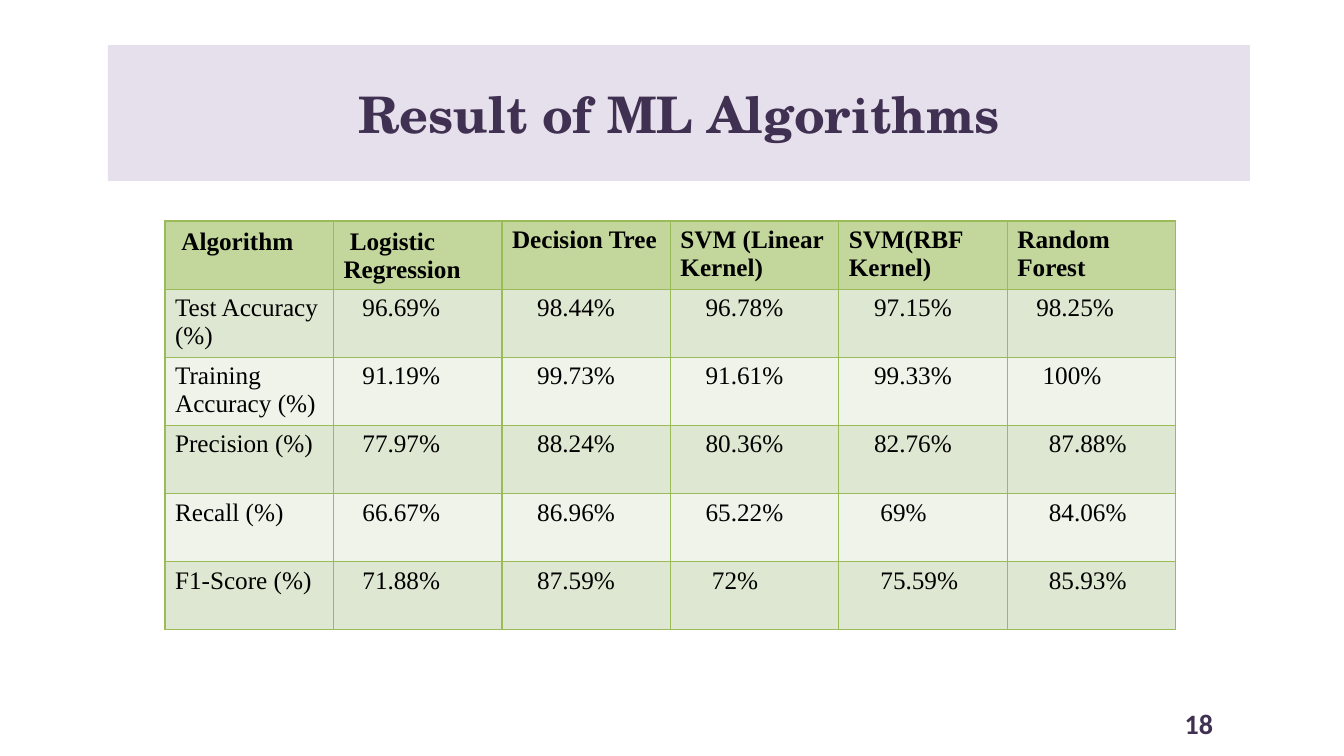
from dataclasses import dataclass
from lxml.etree import SubElement
from pptx import Presentation
from pptx.dml.color import RGBColor as Rgb
from pptx.enum.shapes import MSO_SHAPE as Kind
from pptx.enum.text import MSO_ANCHOR as Anchor, PP_ALIGN as Align
from pptx.oxml.ns import qn
from pptx.util import Pt

PX = 914400 / 100.8


@dataclass
class Theme:
    ink: str = "403152"
    text: str = "000000"
    band: str = "E6E0EC"
    head: str = "C3D69B"
    odd: str = "DEE7D1"
    even: str = "EFF3EA"
    line: str = "9BBB59"
    big: int = 36
    page: int = 20
    body: int = 18


theme = Theme()
TITLE = dict(name="TeX Gyre Schola", size=Pt(theme.big), bold=True)
PAGE = dict(name="Calibri", size=Pt(theme.page), bold=True)
HEAD = dict(name="Times New Roman", size=Pt(theme.body), bold=True)
BODY = HEAD | dict(bold=False)


def px(*sizes):
    return [round(size * PX) for size in sizes]


def write(frame, text, style, color, align=Align.LEFT):
    """Put one styled line of text in a frame and return its paragraph."""
    frame.word_wrap = True
    para = frame.paragraphs[0]
    para.alignment = align
    run = para.add_run()
    run.text = text
    for key, value in style.items():
        setattr(run.font, key, value)
    run.font.color.rgb = Rgb.from_string(color)
    return para


deck = Presentation()
deck.slide_width, deck.slide_height = px(1344, 756)
slide = deck.slides.add_slide(deck.slide_layouts[6])
shapes = slide.shapes

# Title band
band = shapes.add_shape(Kind.RECTANGLE, *px(108, 45, 1142, 136))
band.shadow.inherit = False
band.fill.solid()
band.fill.fore_color.rgb = Rgb.from_string(theme.band)
band.line.fill.background()
band.text_frame.vertical_anchor = Anchor.MIDDLE
write(band.text_frame, "Result of ML Algorithms", TITLE, theme.ink, Align.CENTER)

# Results: each value comes with its indent in steps of one space width
STEP = 6.3
heads = ["Algorithm", "Logistic Regression", "Decision Tree",
         "SVM (Linear Kernel)", "SVM(RBF Kernel)", "Random Forest"]
scores = [
    ("Test Accuracy (%)", ["96.69%", "98.44%", "96.78%", "97.15%", "98.25%"], [3, 4, 4, 4, 3]),
    ("Training Accuracy (%)", ["91.19%", "99.73%", "91.61%", "99.33%", "100%"], [3, 4, 4, 4, 4]),
    ("Precision (%)", ["77.97%", "88.24%", "80.36%", "82.76%", "87.88%"], [3, 4, 4, 4, 5]),
    ("Recall (%)", ["66.67%", "86.96%", "65.22%", "69%", "84.06%"], [3, 4, 4, 5, 5]),
    ("F1-Score (%)", ["71.88%", "87.59%", "72%", "75.59%", "85.93%"], [3, 4, 5, 5, 5]),
]
rows = [(heads, [1, 1, 0, 0, 0, 0])]
rows += [([name, *values], [0, *steps]) for name, values, steps in scores]

grid = shapes.add_table(len(rows), len(heads), *px(165, 221, 1011, 409)).table
grid.first_row = grid.horz_banding = False

for r, (texts, steps) in enumerate(rows):
    fill = theme.odd if r % 2 else theme.even
    style = BODY
    if r == 0:
        fill, style = theme.head, HEAD
    for c, (text, step) in enumerate(zip(texts, steps)):
        cell = grid.cell(r, c)
        props = cell._tc.get_or_add_tcPr()
        for side in ("lnL", "lnR", "lnT", "lnB"):
            edge = SubElement(props, qn(f"a:{side}"), w=str(Pt(1)))
            paint = SubElement(edge, qn("a:solidFill"))
            SubElement(paint, qn("a:srgbClr"), val=theme.line)
        cell.fill.solid()
        cell.fill.fore_color.rgb = Rgb.from_string(fill)
        drop = 2 if r == 0 and step else 0
        cell.margin_top, cell.margin_bottom = px(5 + drop, 0)
        para = write(cell.text_frame, text, style, theme.text)
        para._p.get_or_add_pPr().set("indent", str(round(step * STEP * PX)))

# Page number
page = shapes.add_textbox(*px(1148, 703, 102, 40)).text_frame
page.vertical_anchor = Anchor.MIDDLE
write(page, "18", PAGE, theme.ink, Align.CENTER)

deck.save("out.pptx")
